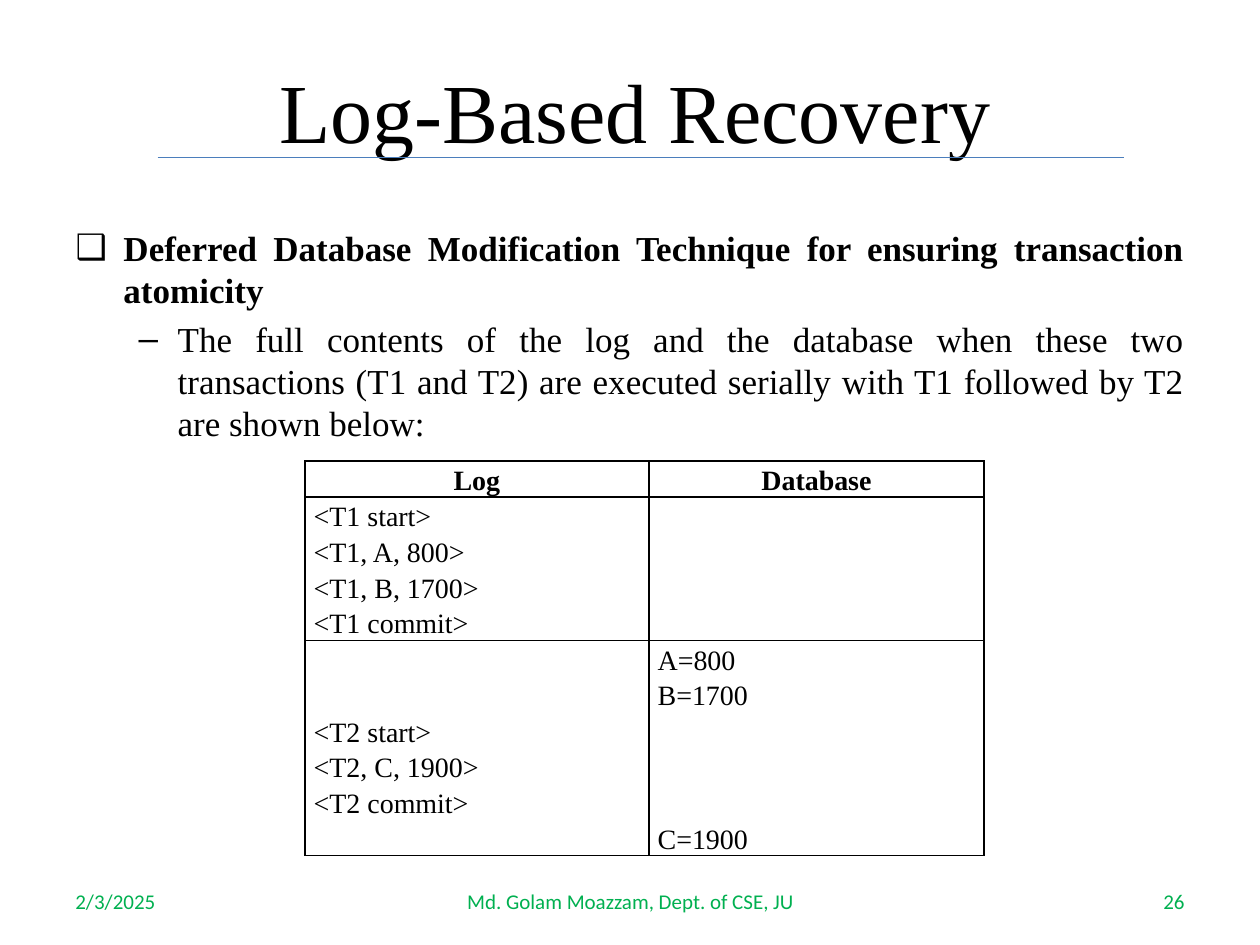
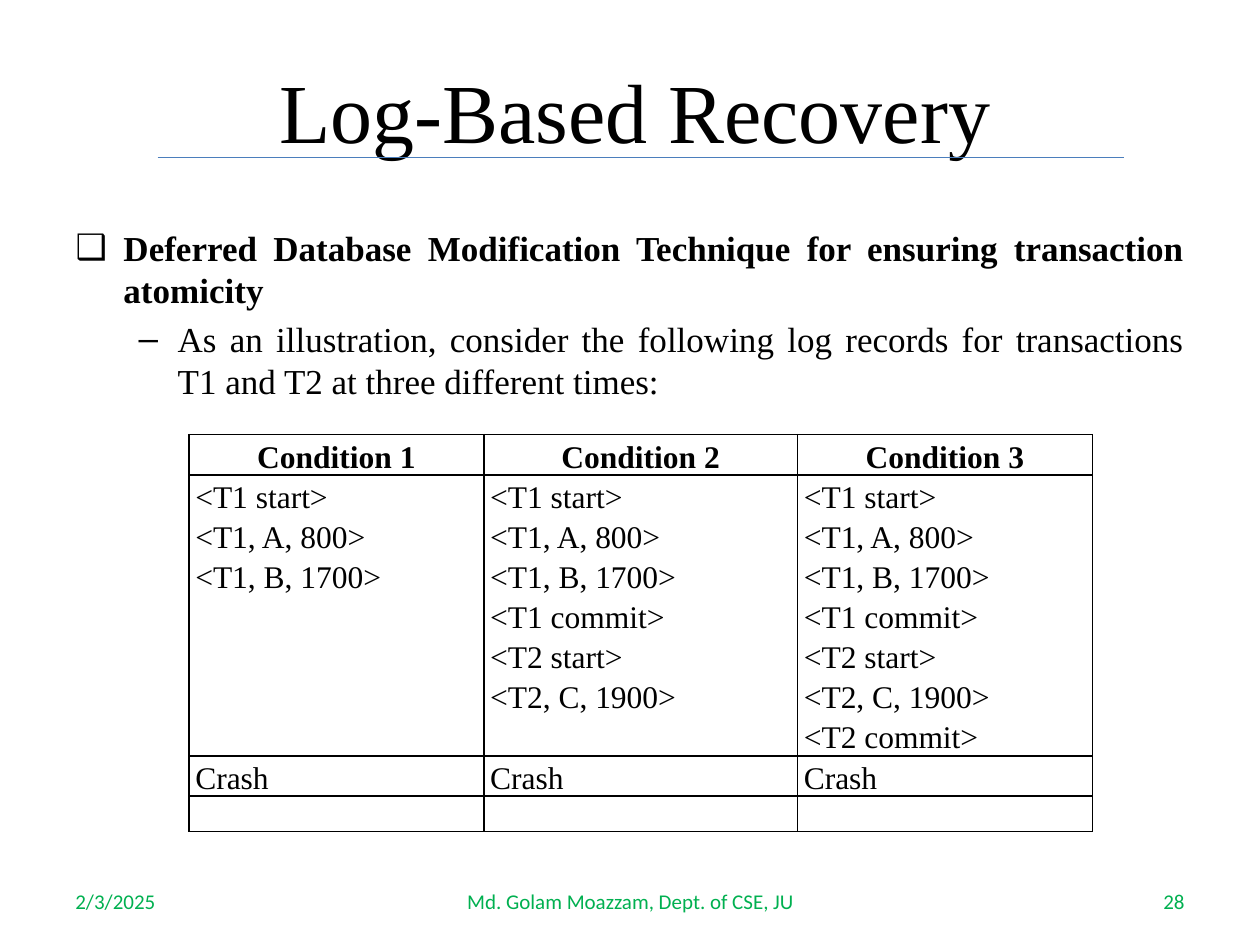
import pptx
import pptx.dml.color
import pptx.enum.shapes
import pptx.enum.text
import pptx.oxml
import pptx.oxml.ns
import pptx.util
import lxml.etree

Inches = pptx.util.Inches
Pt = pptx.util.Pt
ALIGN = pptx.enum.text.PP_ALIGN
ANCHOR = pptx.enum.text.MSO_ANCHOR
qn = pptx.oxml.ns.qn

COLOURS = {"text": "000000", "footer": "00B050", "rule": "4B7EBC"}
SERIF, SANS = "Times New Roman", "Calibri"
NO_GRID_STYLE = "{2D5ABB26-0587-4C30-8999-92F81FD0307C}"
TITLE = "Log-Based Recovery"
HEADING = "Deferred Database Modification Technique for ensuring transaction atomicity"

T1_RECORDS = ["<T1 start>", "<T1, A, 800>", "<T1, B, 1700>"]
T2_RECORDS = ["<T2 start>", "<T2, C, 1900>"]
T1_DONE = T1_RECORDS + ["<T1 commit>"]
T2_DONE = T2_RECORDS + ["<T2 commit>"]

SLIDES = [
    {
        "number": "26",
        "point": "The full contents of the log and the database when these two transactions "
                 "(T1 and T2) are executed serially with T1 followed by T2 are shown below:",
        "position": (2.42, 3.66), "columns": [2.73, 2.66],
        "heights": [0.28, 1.14, 0.57, 0.85, 0.28],
        "size": 16, "line_height": 20.45, "inset": 0.07, "ruled_rows": [0, 1],
        "rows": [[["Log"], ["Database"]], [T1_DONE, []], [[], ["A=800", "B=1700"]],
                 [T2_DONE, []], [[], ["C=1900"]]],
    },
    {
        "number": "28",
        "point": "As an illustration, consider the following log records for transactions "
                 "T1 and T2 at three different times:",
        "position": (1.5, 3.45), "columns": [2.34, 2.49, 2.34],
        "heights": [0.32, 2.23, 0.32, 0.28],
        "size": 18, "line_height": 22.9, "inset": 0.05, "ruled_rows": [0, 1, 2, 3],
        "rows": [[["Condition 1"], ["Condition 2"], ["Condition 3"]],
                 [T1_RECORDS, T1_DONE + T2_RECORDS, T1_DONE + T2_DONE],
                 [["Crash"]] * 3, [[]] * 3],
    },
]


def write(paragraph, text, size=20, font=SERIF, colour="text", bold=False,
          align=ALIGN.JUSTIFY, spacing=None, bullet=None, indent=(0, 0)):
    """Format a paragraph and add its text; indent is left margin and first line in inches."""
    paragraph.alignment = align
    paragraph.space_before = Pt(0)
    if spacing:
        paragraph.line_spacing = spacing
    properties = paragraph._p.get_or_add_pPr()
    properties.set("marL", str(Inches(indent[0])))
    properties.set("indent", str(Inches(indent[1])))
    if bullet:
        lxml.etree.SubElement(properties, qn("a:buChar")).set("char", bullet)
    else:
        lxml.etree.SubElement(properties, qn("a:buNone"))
    run = paragraph.add_run()
    run.text = text
    run.font.size = Pt(size)
    run.font.name = font
    run.font.bold = bold
    run.font.color.rgb = pptx.dml.color.RGBColor.from_string(COLOURS[colour])


def add_borders(cell, sides):
    for side in "LRTB":
        if side in sides:
            cell._tc.get_or_add_tcPr().append(pptx.oxml.parse_xml(
                f'<a:ln{side} xmlns:a="http://schemas.openxmlformats.org/drawingml/2006/main" '
                f'w="{Pt(1)}"><a:solidFill><a:srgbClr val="{COLOURS["text"]}"/>'
                f'</a:solidFill></a:ln{side}>'))


presentation = pptx.Presentation()
presentation.slide_width = Inches(10)
presentation.slide_height = Inches(7.5)

for content in SLIDES:
    slide = presentation.slides.add_slide(presentation.slide_layouts[1])
    title, body = slide.placeholders

    # Footer: date, slide number, author
    for text, left, width, align in [
        ("2/3/2025", 0.5, 2.33, ALIGN.LEFT),
        (content["number"], 7.17, 2.33, ALIGN.RIGHT),
        ("Md. Golam Moazzam, Dept. of CSE, JU", 3.42, 3.17, ALIGN.CENTER),
    ]:
        footer = slide.shapes.add_textbox(
            Inches(left), Inches(6.95), Inches(width), Inches(0.4)).text_frame
        footer.word_wrap = True
        footer.vertical_anchor = ANCHOR.MIDDLE
        write(footer.paragraphs[0], text, size=12, font=SANS, colour="footer", align=align)

    # Rule under the title
    rule = slide.shapes.add_connector(
        pptx.enum.shapes.MSO_CONNECTOR.STRAIGHT,
        Inches(1.25), Inches(1.25), Inches(8.92), Inches(1.25))
    rule.line.color.rgb = pptx.dml.color.RGBColor.from_string(COLOURS["rule"])
    rule.line.width = Pt(0.75)
    lxml.etree.SubElement(rule._element.spPr, qn("a:effectLst"))

    # Title and list
    for placeholder, (left, top, width, height) in [
        (title, (1.33, 0.42, 7.42, 0.85)),
        (body, (0.5, 1.75, 9, 5)),
    ]:
        placeholder.left, placeholder.top = Inches(left), Inches(top)
        placeholder.width, placeholder.height = Inches(width), Inches(height)
        placeholder.text_frame.auto_size = pptx.enum.text.MSO_AUTO_SIZE.NONE
        placeholder.text_frame.vertical_anchor = ANCHOR.TOP
    title.text_frame.margin_bottom = 0
    write(title.text_frame.paragraphs[0], TITLE, size=48, align=ALIGN.CENTER)
    write(body.text_frame.paragraphs[0], HEADING, bold=True,
          bullet="❑", indent=(0.38, -0.38))
    point = body.text_frame.add_paragraph()
    point.level = 1
    write(point, content["point"], bullet="–", indent=(0.81, -0.31))
    point.space_before = Pt(4)

    # Table
    left, top = content["position"]
    frame = slide.shapes.add_table(
        len(content["rows"]), len(content["columns"]), Inches(left), Inches(top),
        Inches(sum(content["columns"])), Inches(sum(content["heights"])))
    table = frame.table
    table.first_row = table.horz_banding = False
    table._tbl.tblPr.find(qn("a:tableStyleId")).text = NO_GRID_STYLE
    for column, width in zip(table.columns, content["columns"]):
        column.width = Inches(width)
    last_row = len(content["rows"]) - 1
    for row_index, row in enumerate(content["rows"]):
        table.rows[row_index].height = Inches(content["heights"][row_index])
        for column_index, lines in enumerate(row):
            cell = table.cell(row_index, column_index)
            cell.margin_left = cell.margin_right = Inches(content["inset"])
            cell.margin_top = cell.margin_bottom = 0
            sides = "LR"
            if row_index in content["ruled_rows"]:
                sides += "T"
            if row_index == last_row or row_index + 1 in content["ruled_rows"]:
                sides += "B"
            add_borders(cell, sides)
            cell.fill.background()
            header = row_index == 0
            for line_index, line in enumerate(lines):
                paragraph = (cell.text_frame.add_paragraph() if line_index
                             else cell.text_frame.paragraphs[0])
                write(paragraph, line, size=content["size"], bold=header,
                      spacing=Pt(content["line_height"]),
                      align=ALIGN.CENTER if header else ALIGN.JUSTIFY)
            if not lines:
                # Keeps an empty cell from stretching its row
                end = lxml.etree.SubElement(
                    cell.text_frame.paragraphs[0]._p, qn("a:endParaRPr"))
                end.set("sz", str(content["size"] * 50))

presentation.save("out.pptx")
